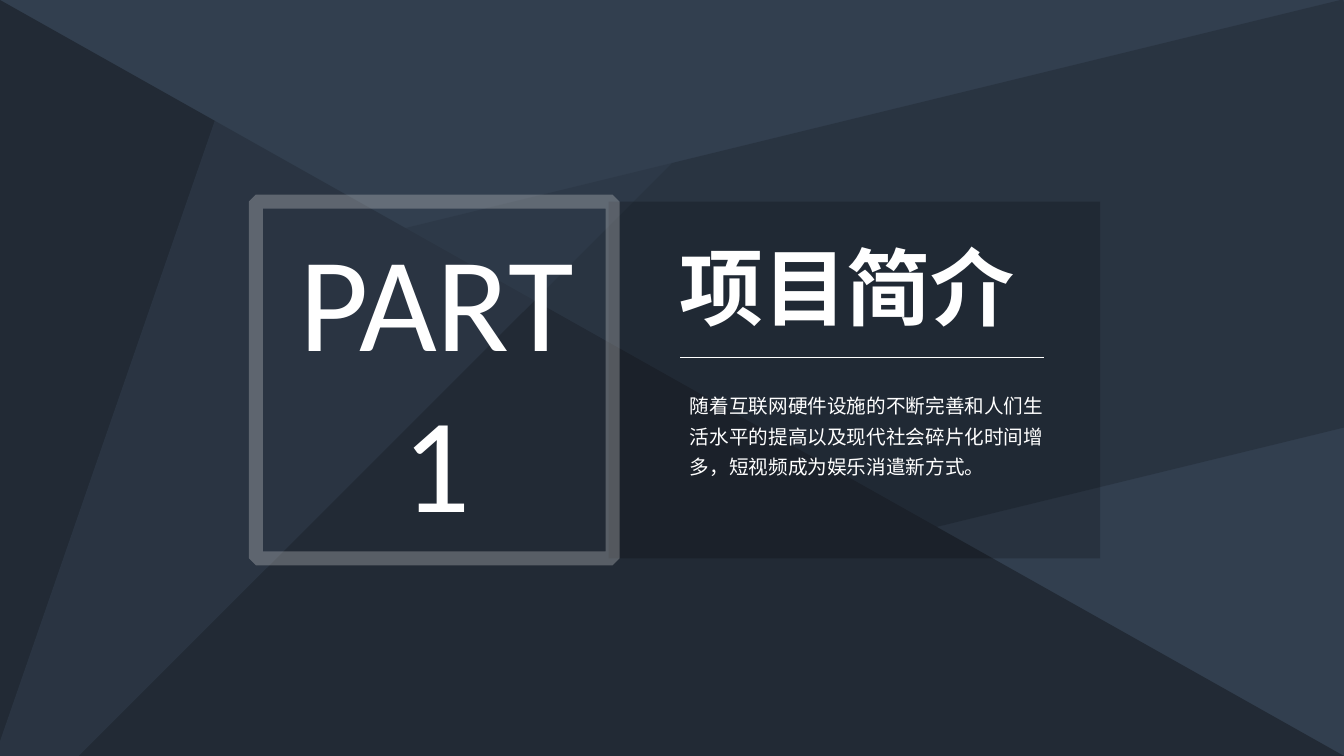
from lxml import etree
from pptx import Presentation
from pptx.dml.color import RGBColor
from pptx.enum.shapes import MSO_CONNECTOR, MSO_SHAPE
from pptx.enum.text import MSO_ANCHOR, MSO_AUTO_SIZE, PP_ALIGN
from pptx.oxml.ns import qn
from pptx.util import Pt

SLATE = RGBColor(0x32, 0x3F, 0x4F)
NAVY = RGBColor(0x22, 0x2A, 0x35)
BLACK = RGBColor(0x00, 0x00, 0x00)
SILVER = RGBColor(0xD8, 0xD8, 0xD8)
WHITE = RGBColor(0xFF, 0xFF, 0xFF)

TRIANGLE = MSO_SHAPE.RIGHT_TRIANGLE
ISOSCELES = MSO_SHAPE.ISOSCELES_TRIANGLE
PARALLELOGRAM = MSO_SHAPE.PARALLELOGRAM
RECTANGLE = MSO_SHAPE.RECTANGLE
STRAIGHT = MSO_CONNECTOR.STRAIGHT
LEFT, CENTER = PP_ALIGN.LEFT, PP_ALIGN.CENTER
TOP = MSO_ANCHOR.TOP
NO_AUTOFIT = MSO_AUTO_SIZE.NONE

SLIDE_WIDTH, SLIDE_HEIGHT = 960.48, 540
PANEL_TOP, PANEL_SIZE = 144, 254.88


def set_opacity(fill_parent, percent):
    """Make the solid fill inside an element partly transparent."""
    color = fill_parent.find(qn("a:solidFill"))[0]
    etree.SubElement(color, qn("a:alpha")).set("val", str(percent * 1000))


def add_facet(slide, kind, box, color, opacity=100, rotation=0, adjustment=None):
    """Add a borderless filled shape."""
    shape = slide.shapes.add_shape(kind, *map(Pt, box))
    shape.shadow.inherit = False
    shape.rotation = rotation
    if adjustment is not None:
        shape.adjustments[0] = adjustment
    shape.fill.solid()
    shape.fill.fore_color.rgb = color
    shape.line.fill.background()
    if opacity < 100:
        set_opacity(shape._element.spPr, opacity)


def add_frame(slide, box):
    """Add the translucent square outline with bevelled corners."""
    shape = slide.shapes.add_shape(RECTANGLE, *map(Pt, box))
    shape.shadow.inherit = False
    shape.fill.background()
    shape.line.color.rgb = SILVER
    shape.line.width = Pt(10)
    outline = shape._element.spPr.find(qn("a:ln"))
    set_opacity(outline, 30)
    etree.SubElement(outline, qn("a:bevel"))


def write_text(shape, lines, size, font_name, alignment=LEFT, spacing=None, bold=False):
    """Write white paragraphs into a shape."""
    frame = shape.text_frame
    frame.word_wrap = True
    frame.auto_size = NO_AUTOFIT
    frame.vertical_anchor = TOP
    frame.text = "\n".join(lines)
    for paragraph in frame.paragraphs:
        paragraph.alignment = alignment
        paragraph.line_spacing = spacing
        paragraph.font.name = font_name
        paragraph.font.size = Pt(size)
        paragraph.font.bold = bold
        paragraph.font.color.rgb = WHITE


def add_title(slide, box, text):
    """Place the title placeholder in front of the panel."""
    title = slide.shapes.title
    title.left, title.top, title.width, title.height = map(Pt, box)
    write_text(title, [text], 60, "Noto Sans CJK SC", bold=True)
    title._element.getparent().append(title._element)


def add_rule(slide, left, right, top):
    """Add the thin horizontal rule below the title."""
    rule = slide.shapes.add_connector(STRAIGHT, Pt(left), Pt(top), Pt(right), Pt(top))
    rule.line.color.rgb = WHITE
    rule.line.width = Pt(0.5)
    etree.SubElement(rule._element.spPr, qn("a:effectLst"))


def main():
    """Build the section slide and save it."""
    presentation = Presentation()
    presentation.slide_width = Pt(SLIDE_WIDTH)
    presentation.slide_height = Pt(SLIDE_HEIGHT)
    slide = presentation.slides.add_slide(presentation.slide_layouts[5])
    slide.background.fill.solid()
    slide.background.fill.fore_color.rgb = SLATE

    add_facet(slide, TRIANGLE, (0, 0, SLIDE_WIDTH, SLIDE_HEIGHT), NAVY)
    add_facet(slide, PARALLELOGRAM, (-51.12, 120.96, 1061.28, 297.36), NAVY, 50, 346.3, -0.04)
    add_facet(slide, ISOSCELES, (84.96, -83.52, 389.52, 800.64), SLATE, 50, 199.1, 1)
    add_facet(slide, RECTANGLE, (434.88, PANEL_TOP, 351.36, PANEL_SIZE), BLACK, 20)
    add_frame(slide, (182.88, PANEL_TOP, PANEL_SIZE, PANEL_SIZE))

    part = slide.shapes.add_textbox(Pt(198), Pt(151.2), Pt(228.24), Pt(237.6))
    write_text(part, ["PART", "1"], 96, "Calibri", CENTER)
    add_title(slide, (478.08, 164.88, 270.72, 79.2), "项目简介")
    add_rule(slide, 486, 745.92, 255.6)
    summary = slide.shapes.add_textbox(Pt(486), Pt(272.88), Pt(275.04), Pt(72.72))
    write_text(
        summary,
        ["随着互联网硬件设施的不断完善和人们生活水平的提高以及现代社会碎片化时间增多，短视频成为娱乐消遣新方式。"],
        14, "Calibri", spacing=1.3,
    )
    presentation.save("out.pptx")


if __name__ == "__main__":
    main()
